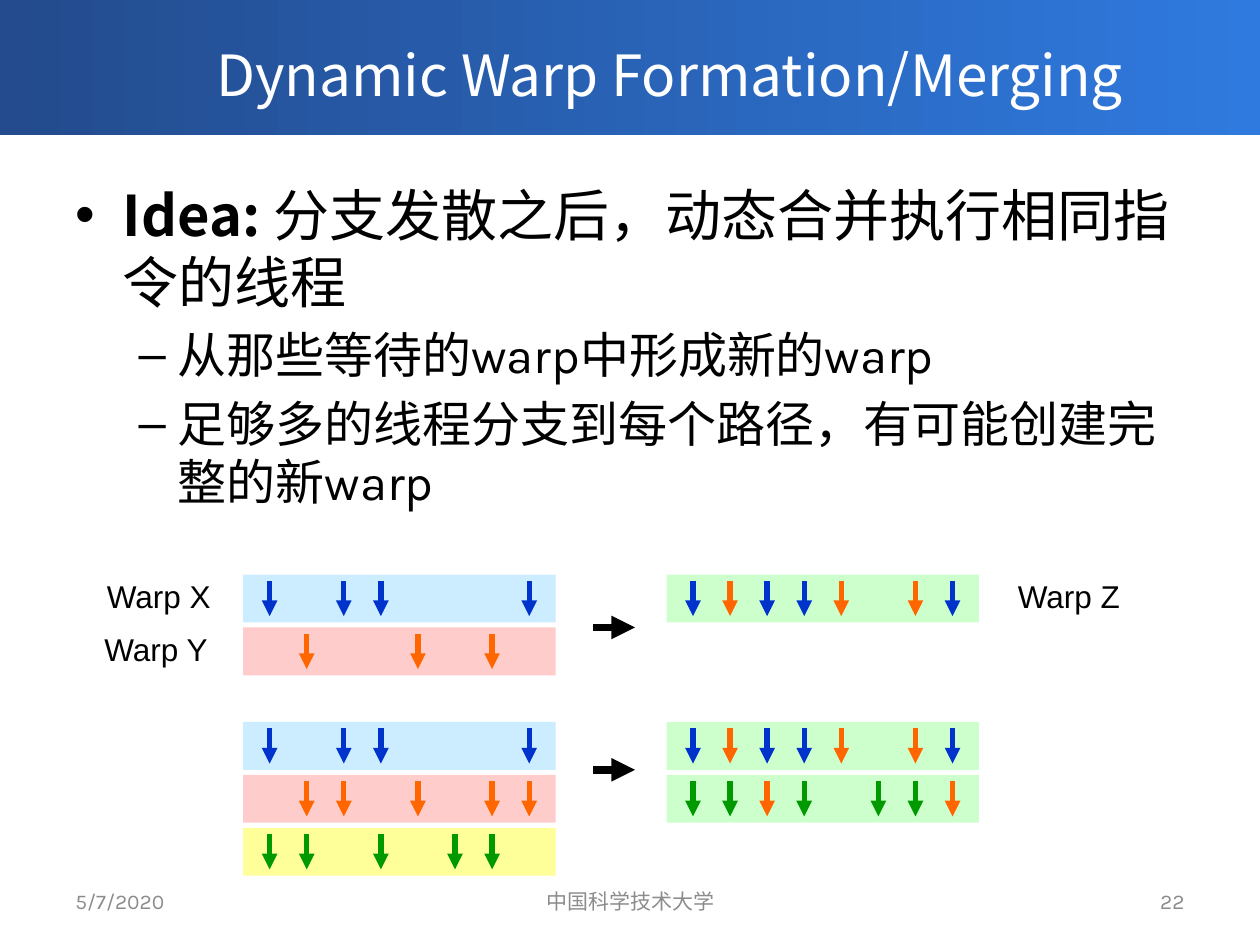
from lxml import etree
from pptx import Presentation
from pptx.dml.color import RGBColor
from pptx.enum.shapes import MSO_CONNECTOR, MSO_SHAPE
from pptx.enum.text import MSO_ANCHOR, MSO_AUTO_SIZE, PP_ALIGN
from pptx.oxml.ns import qn
from pptx.util import Inches, Pt

RECTANGLE = MSO_SHAPE.RECTANGLE
STRAIGHT = MSO_CONNECTOR.STRAIGHT
MIDDLE, TOP = MSO_ANCHOR.MIDDLE, MSO_ANCHOR.TOP
NO_AUTOFIT = MSO_AUTO_SIZE.NONE
LEFT, CENTER, RIGHT = PP_ALIGN.LEFT, PP_ALIGN.CENTER, PP_ALIGN.RIGHT
rgb = RGBColor.from_string
CJK_FONT = "Noto Sans CJK SC"


def format_run(run, size, font_name, color, bold=False):
    run.font.size = Pt(size)
    run.font.name = font_name
    run.font.bold = bold
    run.font.color.rgb = rgb(color)
    east_asian = etree.Element(qn("a:ea"), typeface=CJK_FONT)
    run.font._element.find(qn("a:latin")).addnext(east_asian)


def add_arrow(start_x, start_y, end_x, end_y, color, width):
    arrow = slide.shapes.add_connector(
        STRAIGHT, Inches(start_x), Inches(start_y), Inches(end_x), Inches(end_y))
    arrow.line.color.rgb = rgb(color)
    arrow.line.width = Pt(width)
    line = arrow.element.spPr.find(qn("a:ln"))
    etree.SubElement(line, qn("a:tailEnd"), type="triangle")
    etree.SubElement(arrow.element.spPr, qn("a:effectLst"))


presentation = Presentation()
presentation.slide_width = Inches(10)
presentation.slide_height = Inches(7.5)
slide = presentation.slides.add_slide(presentation.slide_layouts[1])
title, body = slide.placeholders

band = slide.shapes.add_shape(RECTANGLE, 0, 0, Inches(10), Inches(1.07))
band.shadow.inherit = False
band.line.fill.background()
band.fill.gradient()
band.fill.gradient_angle = 0
for stop, color in zip(band.fill.gradient_stops, ("234B8D", "2F7ADF")):
    stop.color.rgb = rgb(color)
title.element.addprevious(band.element)

title.left, title.top = Inches(1.13), Inches(0.16)
title.width, title.height = Inches(8.37), Inches(0.86)
title.text_frame.text = "Dynamic Warp Formation/Merging"
title.text_frame.auto_size = NO_AUTOFIT
title.text_frame.vertical_anchor = MIDDLE
title.text_frame.paragraphs[0].alignment = CENTER
format_run(title.text_frame.paragraphs[0].runs[0], 32.4, CJK_FONT, "FFFFFF")

body.left, body.top = Inches(0.5), Inches(1.38)
body.width, body.height = Inches(9), Inches(2.61)
frame = body.text_frame
frame.text = "Idea: "
frame.auto_size = NO_AUTOFIT
frame.vertical_anchor = TOP
idea = frame.paragraphs[0]
idea.add_run().text = "分支发散之后，动态合并执行相同指令的线程"
format_run(idea.runs[0], 32, CJK_FONT, "000000", True)
format_run(idea.runs[1], 32, CJK_FONT, "000000")
for text in ("从那些等待的warp中形成新的warp",
             "足够多的线程分支到每个路径，有可能创建完整的新warp"):
    paragraph = frame.add_paragraph()
    paragraph.text = text
    paragraph.level = 1
    format_run(paragraph.runs[0], 28, "Karla", "000000")

ROW_WIDTH, ROW_HEIGHT, ROW_PITCH = 2.48, 0.38, 0.42
LANE_INSET, LANE_PITCH = 0.21, 2.06 / 7
LEFT_X, RIGHT_X = 1.93, 5.29
FIRST_Y, SECOND_Y = 4.56, 5.73
BLUE, PINK, GREEN, YELLOW = "CCECFF", "FFCCCC", "CCFFCC", "FFFF99"
THREAD_COLORS = {"X": "0033CC", "Y": "FF6600", "W": "009900"}

warps = [
    (LEFT_X, FIRST_Y, BLUE, "X.XX...X"),
    (LEFT_X, FIRST_Y + ROW_PITCH, PINK, ".Y..Y.Y."),
    (RIGHT_X, FIRST_Y, GREEN, "XYXXY.YX"),
    (LEFT_X, SECOND_Y, BLUE, "X.XX...X"),
    (LEFT_X, SECOND_Y + ROW_PITCH, PINK, ".YY.Y.YY"),
    (LEFT_X, SECOND_Y + 2 * ROW_PITCH, YELLOW, "WW.W.WW."),
    (RIGHT_X, SECOND_Y, GREEN, "XYXXY.YX"),
    (RIGHT_X, SECOND_Y + ROW_PITCH, GREEN, "WWYW.WWY"),
]
for x, y, fill, lanes in warps:
    row = slide.shapes.add_shape(
        RECTANGLE, Inches(x), Inches(y), Inches(ROW_WIDTH), Inches(ROW_HEIGHT))
    row.shadow.inherit = False
    row.fill.solid()
    row.fill.fore_color.rgb = rgb(fill)
    row.line.fill.background()
    for lane, thread in enumerate(lanes):
        if thread in THREAD_COLORS:
            lane_x = x + LANE_INSET + lane * LANE_PITCH
            add_arrow(lane_x, y + 0.05, lane_x, y + 0.33, THREAD_COLORS[thread], 3)

for y in (4.98, 6.11):
    add_arrow(4.71, y, 5.04, y, "000000", 4.5)

WARP_LABEL = (18, "Arial", "000000")
FOOTER = (12, "Karla", "8C8C8C")
labels = [
    ("Warp X", 0.75, 4.53, 1.03, LEFT, TOP, False, WARP_LABEL),
    ("Warp Y", 0.73, 4.95, 1.03, LEFT, TOP, False, WARP_LABEL),
    ("Warp Z", 7.98, 4.53, 1.02, LEFT, TOP, False, WARP_LABEL),
    ("5/7/2020", 0.5, 6.95, 2.33, LEFT, MIDDLE, True, FOOTER),
    ("中国科学技术大学", 3.42, 6.95, 3.17, CENTER, MIDDLE, True, FOOTER),
    ("22", 7.17, 6.95, 2.33, RIGHT, MIDDLE, True, FOOTER),
]
for text, x, y, width, alignment, anchor, wrap, style in labels:
    label = slide.shapes.add_textbox(Inches(x), Inches(y), Inches(width), Inches(0.4))
    label.text_frame.text = text
    label.text_frame.word_wrap = wrap
    label.text_frame.vertical_anchor = anchor
    label.text_frame.paragraphs[0].alignment = alignment
    format_run(label.text_frame.paragraphs[0].runs[0], *style)

presentation.save("out.pptx")
